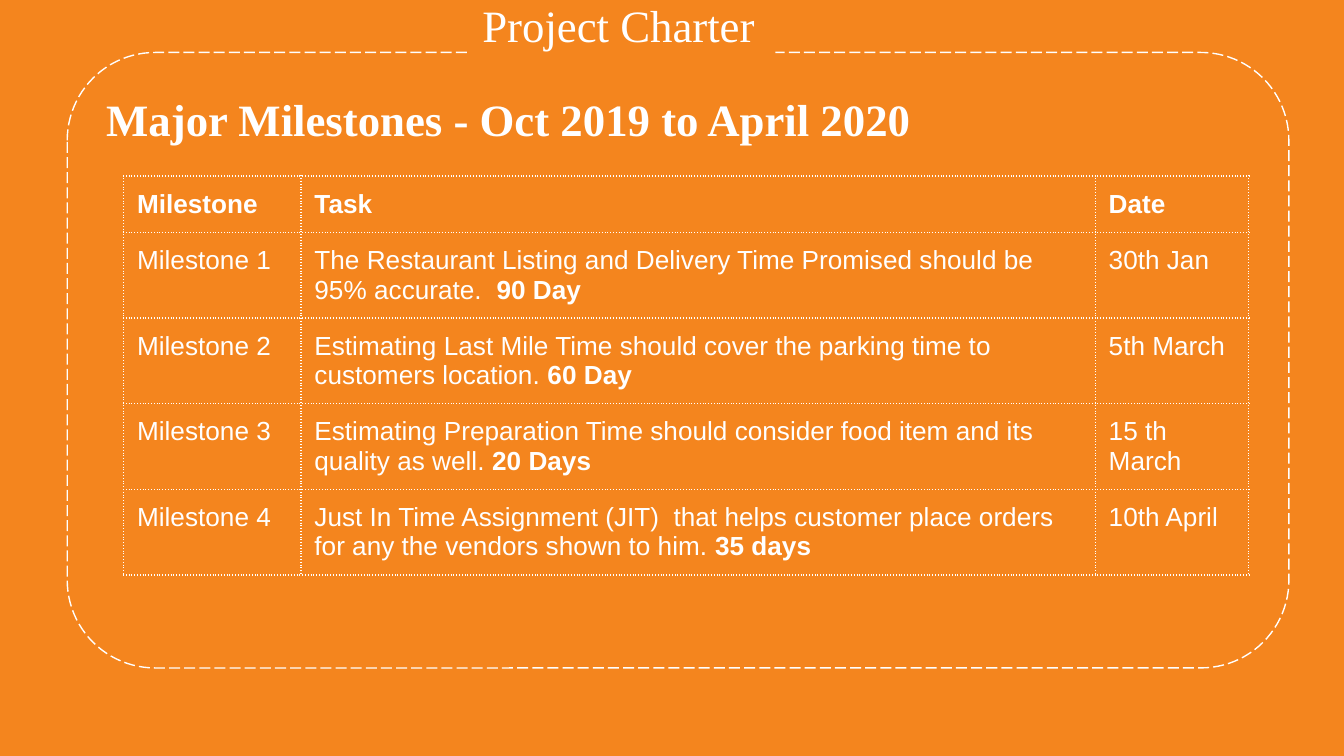
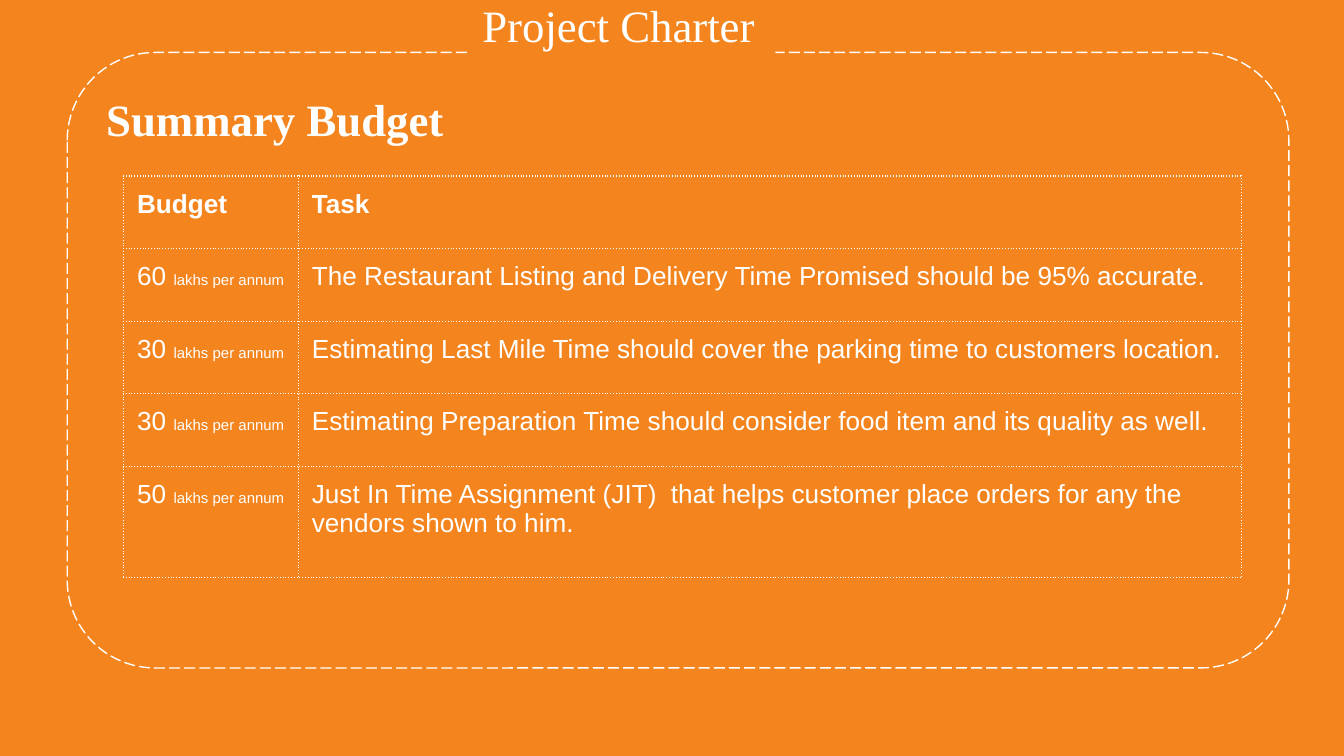
from lxml import etree
from pptx import Presentation
from pptx.dml.color import RGBColor
from pptx.enum.dml import MSO_LINE
from pptx.enum.shapes import MSO_SHAPE
from pptx.enum.text import MSO_ANCHOR, PP_ALIGN
from pptx.oxml.ns import qn
from pptx.util import Inches, Pt

RECT, ROUND = MSO_SHAPE.RECTANGLE, MSO_SHAPE.ROUNDED_RECTANGLE
LONG_DASH = MSO_LINE.LONG_DASH
TOP, LEFT = MSO_ANCHOR.TOP, PP_ALIGN.LEFT

TASKS = [
    "The Restaurant Listing and Delivery Time Promised should be 95% accurate.",
    "Estimating Last Mile Time should cover the parking time to customers location.",
    "Estimating Preparation Time should consider food item and its quality as well.",
    "Just In Time Assignment (JIT)  that helps customer place orders for any the vendors shown to him.",
]
DAYS = ["90 Day", "60 Day", "20 Days", "35 days"]
DATES = ["30th Jan", "5th March", "15 th March", "10th April"]
COSTS = [60, 30, 30, 50]


def color(code):
    return RGBColor.from_string(code)


class Deck:
    """Holds the style and the current slide, and draws each kind of element."""

    ground, ink = "F4851E", "FFFFFF"
    serif, sans = "Times New Roman", "Arial"
    pad = Inches(0.1)

    def __init__(self):
        self.show = Presentation()
        self.show.slide_width = Inches(10)
        self.show.slide_height = Inches(10 * 9 / 16)

    def page(self, heading):
        self.slide = self.show.slides.add_slide(self.show.slide_layouts[6])
        fill = self.slide.background.fill
        fill.solid()
        fill.fore_color.rgb = color(self.ground)
        frame = self.box(ROUND, (0.5, 0.39, 9.09, 4.58), heading, True)
        frame.adjustments[0] = 0.143
        frame.line.color.rgb = color(self.ink)
        frame.line.width = Pt(0.75)
        frame.line.dash_style = LONG_DASH
        title = self.box(RECT, (3.49, -0.12, 2.28, 0.61), "Project Charter", False)
        title.line.fill.background()

    def style(self, run, face, size, bold):
        font = run.font
        font.name, font.size, font.bold = face, Pt(size), bold
        font.color.rgb = color(self.ink)

    def inset(self, item):
        item.margin_left = item.margin_right = self.pad
        item.margin_top = item.margin_bottom = self.pad
        item.vertical_anchor = TOP

    def box(self, kind, place, text, bold):
        shape = self.slide.shapes.add_shape(kind, *map(Inches, place))
        shape.shadow.inherit = False
        shape.fill.solid()
        shape.fill.fore_color.rgb = color(self.ground)
        frame = shape.text_frame
        frame.word_wrap = True
        self.inset(frame)
        frame.text = text
        line = frame.paragraphs[0]
        line.alignment = LEFT
        self.style(line.runs[0], self.serif, 24, bold)
        return shape

    def border(self, cell):
        props = cell._tc.get_or_add_tcPr()
        for spot, side in enumerate(("lnL", "lnR", "lnT", "lnB")):
            edge = etree.Element(qn("a:" + side), w=str(Pt(0.75)))
            fill = etree.SubElement(edge, qn("a:solidFill"))
            etree.SubElement(fill, qn("a:srgbClr"), val=self.ink)
            etree.SubElement(edge, qn("a:prstDash"), val="dot")
            props.insert(spot, edge)

    def cell(self, cell, parts):
        self.inset(cell)
        cell.fill.background()
        self.border(cell)
        line = cell.text_frame.paragraphs[0]
        for text, size, bold in parts:
            run = line.add_run()
            run.text = text
            self.style(run, self.sans, size, bold)

    def table(self, widths, heights, rows):
        shape = self.slide.shapes.add_table(
            len(rows), len(widths), Inches(0.92), Inches(1.31),
            Inches(sum(widths)), Inches(sum(heights)))
        grid = shape.table
        grid.first_row = grid.horz_banding = False
        for column, width in zip(grid.columns, widths):
            column.width = Inches(width)
        for row, height, parts in zip(grid.rows, heights, rows):
            row.height = Inches(height)
            for cell, part in zip(row.cells, parts):
                self.cell(cell, part)


def head(*names):
    return [[(name, 14, True)] for name in names]


def plain(text):
    return (text, 14, False)


def main():
    deck = Deck()

    deck.page("Major Milestones - Oct 2019 to April 2020")
    rows = [head("Milestone", "Task", "Date")]
    for count, (task, days, date) in enumerate(zip(TASKS, DAYS, DATES), 1):
        gap = "  " if count == 1 else " "
        rows.append([[plain(f"Milestone {count}")],
                     [plain(task + gap), (days, 14, True)],
                     [plain(date)]])
    deck.table([1.32, 5.91, 1.14], [0.42] * 5, rows)

    deck.page("Summary Budget")
    rows = [head("Budget", "Task")]
    for cost, task in zip(COSTS, TASKS):
        rows.append([[plain(f"{cost} "), ("lakhs per annum", 8, False)],
                     [plain(task)]])
    deck.table([1.3, 7.02], [0.54] * 4 + [0.83], rows)

    deck.show.save("out.pptx")


if __name__ == "__main__":
    main()
